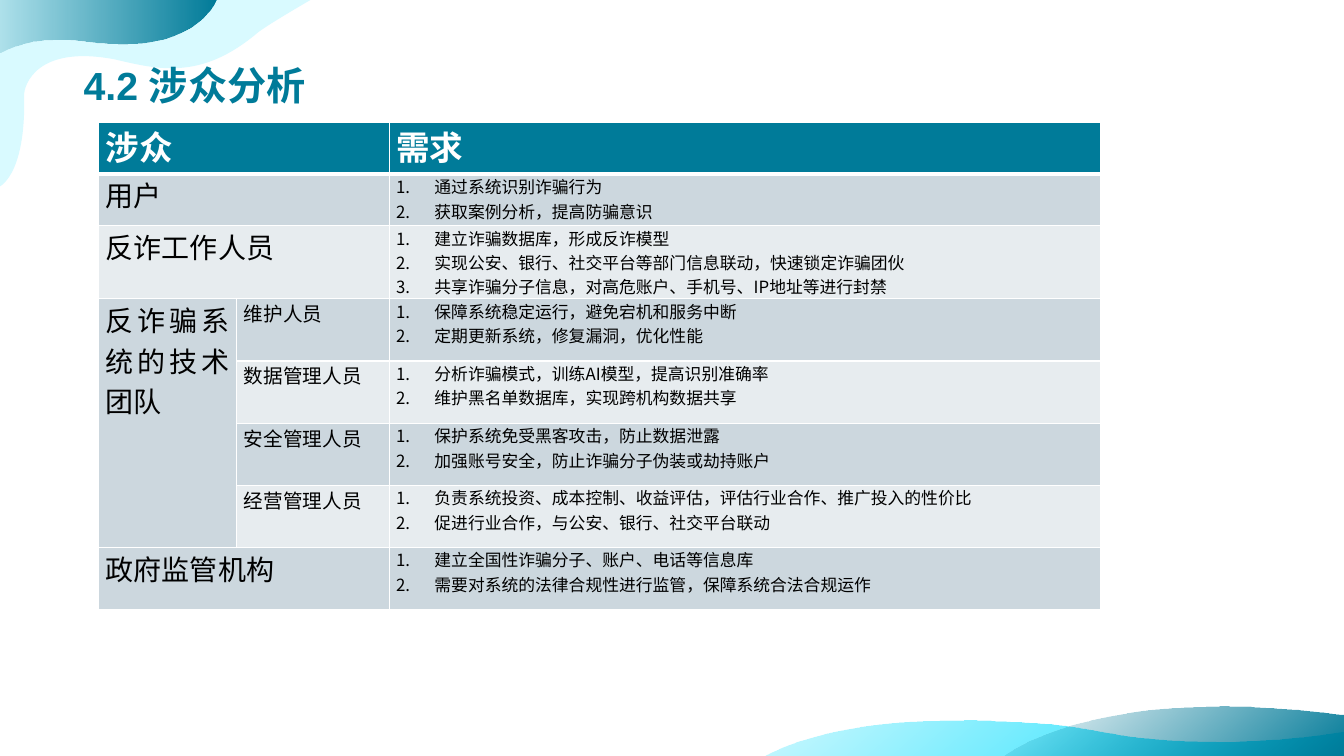
"""Build the stakeholder analysis slide with its wave corners and table."""
from dataclasses import dataclass

from lxml import etree
from pptx import Presentation
from pptx import util as u
from pptx.dml.color import RGBColor
from pptx.enum import text
from pptx.oxml import ns


@dataclass(frozen=True)
class Theme:
    teal: str = "007B99"
    cyan: str = "03DEFF"
    white: str = "FFFFFF"
    black: str = "000000"
    bands: tuple = ("CCD7DE", "E7ECEF")
    latin: str = "Arial"
    cjk: str = "Noto Sans CJK SC"
    title: int = 28
    header: int = 24
    group: int = 20
    role: int = 14
    need: int = 12


theme = Theme()


def add_run(p, words, size, color, font, bold=False):
    r = p.add_run()
    r.text = words
    r.font.size = u.Pt(size)
    r.font.bold = bold
    r.font.name = font
    r.font.color.rgb = RGBColor.from_string(color)
    ea = etree.SubElement(r.font._element, ns.qn("a:ea"))
    ea.set("typeface", theme.cjk)


def add_color(parent, color, opacity=100):
    clr = etree.SubElement(parent, ns.qn("a:srgbClr"), val=color)
    if opacity < 100:
        etree.SubElement(clr, ns.qn("a:alpha"), val=str(opacity * 1000))


prs = Presentation()
prs.slide_width, prs.slide_height = u.Inches(13.33), u.Inches(7.5)
s = prs.slides.add_slide(prs.slide_layouts[5])

waves = [
    (theme.cyan, 20, 100, 50, (9.56, 7.15), [
        (9.89, 7.15, 10.38, 7.17, 10.7, 7.22), (11.03, 7.27, 11.79, 7.46, 13.19, 7.28),
        (13.33, 7.26), (13.33, 7.5), (7.57, 7.5), (7.65, 7.45, 8.23, 7.14, 9.56, 7.15)]),
    (theme.teal, 0, 100, 50, (12.19, 7.01), [
        (12.47, 7.01, 12.79, 7.03, 13.13, 7.07), (13.33, 7.09), (13.33, 7.5),
        (9.93, 7.5), (9.94, 7.5), (10.03, 7.43, 10.68, 7, 12.19, 7.01)]),
    (theme.cyan, 15, 15, 0, (-0.02, 1.86), [
        (-0.02, 1.86, 0.26, 1.77, 0.24, 0.94), (0.24, 0.85, 0.36, 0.44, 1.14, 0.59),
        (1.57, 0.69, 1.99, 0.8, 2.55, 0.33), (2.63, 0.26, 3.08, 0, 3.08, 0), (0, 0)]),
    (theme.teal, 20, 100, 0, (0, 0), [
        (2.15, 0), (2.12, 0.06), (1.9, 0.38, 1.44, 0.49, 0.85, 0.41),
        (0.42, 0.35, 0.15, 0.44, 0.02, 0.51), (0, 0.52)]),
]
for color, first, last, angle, start, segments in waves:
    builder = s.shapes.build_freeform(u.Inches(start[0]), u.Inches(start[1]))
    builder.add_line_segments([(u.Inches(seg[-2]), u.Inches(seg[-1])) for seg in segments])
    sp = builder.convert_to_shape()
    sp.shadow.inherit = False
    sp.line.fill.background()
    geometry = sp._element.spPr.find(ns.qn("a:custGeom"))
    for line, seg in zip(list(geometry.iter(ns.qn("a:lnTo"))), segments):
        if len(seg) == 6:
            curve = etree.Element(ns.qn("a:cubicBezTo"))
            for x, y in zip(seg[::2], seg[1::2]):
                etree.SubElement(curve, ns.qn("a:pt"), x=str(u.Inches(x) - sp.left),
                                 y=str(u.Inches(y) - sp.top))
            line.getparent().replace(line, curve)
    if first == last:
        fill = etree.Element(ns.qn("a:solidFill"))
        add_color(fill, color, first)
    else:
        fill = etree.Element(ns.qn("a:gradFill"), rotWithShape="1")
        stops = etree.SubElement(fill, ns.qn("a:gsLst"))
        for pos, opacity in ((0, first), (100, last)):
            stop = etree.SubElement(stops, ns.qn("a:gs"), pos=str(pos * 1000))
            add_color(stop, color, opacity)
        etree.SubElement(fill, ns.qn("a:lin"), ang=str(angle * 60000), scaled="0")
    geometry.addnext(fill)

title = s.shapes.title
s.shapes._spTree.append(title._element)
title.left, title.top = u.Inches(0.73), u.Inches(0)
title.width, title.height = u.Inches(11.88), u.Inches(1.13)
tf = title.text_frame
tf.auto_size = text.MSO_AUTO_SIZE.NONE
tf.vertical_anchor = text.MSO_ANCHOR.BOTTOM
tf.paragraphs[0].alignment = text.PP_ALIGN.LEFT
add_run(tf.paragraphs[0], "4.2 涉众分析", theme.title, theme.teal, theme.latin, True)

rows = [
    ("涉众", "", ["需求"]),
    ("用户", "", ["通过系统识别诈骗行为", "获取案例分析，提高防骗意识"]),
    ("反诈工作人员", "", [
        "建立诈骗数据库，形成反诈模型",
        "实现公安、银行、社交平台等部门信息联动，快速锁定诈骗团伙",
        "共享诈骗分子信息，对高危账户、手机号、IP地址等进行封禁"]),
    ("反诈骗系统的技术团队", "维护人员", [
        "保障系统稳定运行，避免宕机和服务中断", "定期更新系统，修复漏洞，优化性能"]),
    ("", "数据管理人员", [
        "分析诈骗模式，训练AI模型，提高识别准确率", "维护黑名单数据库，实现跨机构数据共享"]),
    ("", "安全管理人员", [
        "保护系统免受黑客攻击，防止数据泄露", "加强账号安全，防止诈骗分子伪装或劫持账户"]),
    ("", "经营管理人员", [
        "负责系统投资、成本控制、收益评估，评估行业合作、推广投入的性价比",
        "促进行业合作，与公安、银行、社交平台联动"]),
    ("政府监管机构", "", [
        "建立全国性诈骗分子、账户、电话等信息库",
        "需要对系统的法律合规性进行监管，保障系统合法合规运作"]),
]
TABLE_HEIGHT = 4.73
widths = (1.37, 1.51, 7.06)
heights = (0.52, 0.51) + ((TABLE_HEIGHT - 0.52 - 0.51) / 6,) * 6
table = s.shapes.add_table(len(rows), len(widths), u.Inches(0.98), u.Inches(1.21),
                           u.Inches(sum(widths)), u.Inches(TABLE_HEIGHT)).table
for column, width in zip(table.columns, widths):
    column.width = u.Inches(width)
for row, height in zip(table.rows, heights):
    row.height = u.Inches(height)
for i, (group, role, _) in enumerate(rows):
    if group and not role:
        table.cell(i, 0).merge(table.cell(i, 1))
table.cell(3, 0).merge(table.cell(6, 0))

for i, (group, role, needs) in enumerate(rows):
    head = i == 0
    for j, lines in enumerate(([group], [role], needs)):
        cell = table.cell(i, j)
        cell.margin_left = cell.margin_right = u.Inches(0.07)
        cell.margin_top = cell.margin_bottom = 0
        tcPr = cell._tc.get_or_add_tcPr()
        for side in "LRTB":
            thick = (i, side) in ((0, "B"), (1, "T"))
            ln = etree.SubElement(tcPr, ns.qn(f"a:ln{side}"), w=str(u.Pt(3 if thick else 1)))
            add_color(etree.SubElement(ln, ns.qn("a:solidFill")), theme.white)
        cell.fill.solid()
        band = theme.teal if head else theme.bands[(i - 1) % 2]
        if j == 0 and 3 <= i <= 6:
            band = theme.bands[0]
        cell.fill.fore_color.rgb = RGBColor.from_string(band)
        size = theme.header if head else (theme.group, theme.role, theme.need)[j]
        for k, line in enumerate(lines):
            if not line:
                continue
            tf = cell.text_frame
            p = tf.add_paragraph() if k else tf.paragraphs[0]
            p.alignment = text.PP_ALIGN.LEFT if head and j == 0 else text.PP_ALIGN.JUSTIFY
            if j == 2 and not head:
                pPr = p._p.get_or_add_pPr()
                pPr.set("marL", str(u.Inches(0.38)))
                pPr.set("indent", str(u.Inches(-0.38)))
                etree.SubElement(pPr, ns.qn("a:buAutoNum"), type="arabicPeriod")
            add_run(p, line, size, theme.white if head else theme.black, theme.cjk, head)

prs.save("out.pptx")
